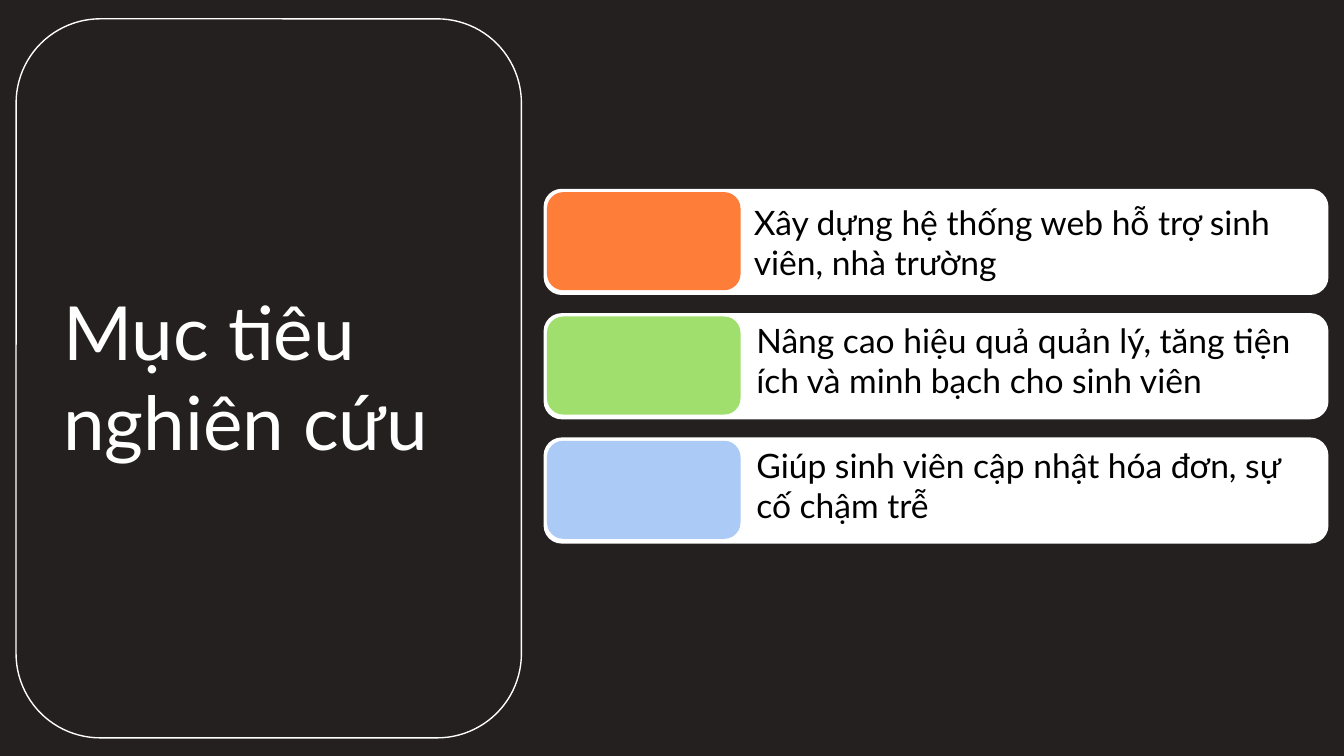
from pptx import Presentation
from pptx.dml.color import RGBColor
from pptx.enum.shapes import MSO_SHAPE
from pptx.enum.text import MSO_ANCHOR, MSO_AUTO_SIZE, PP_ALIGN
from pptx.util import Inches, Pt

# Content
TITLE = "Mục tiêu nghiên cứu"
# text, swatch colour, text box (left, top, width, height)
GOALS = [
    ("Xây dựng hệ thống web hỗ trợ sinh viên, nhà trường",
     "FE7D39", (5.51, 1.48, 4.49, 0.72)),
    ("Nâng cao hiệu quả quản lý, tăng tiện ích và minh bạch cho sinh viên",
     "A0DF6D", (5.53, 2.39, 4.34, 0.69)),
    ("Giúp sinh viên cập nhật hóa đơn, sự cố chậm trễ",
     "ABCAF6", (5.53, 3.29, 4.34, 0.72)),
]
FONT = "Lato"
BACKGROUND, WHITE, BLACK = "24201F", "FFFFFF", "000000"
FIRST_TOP, LAST_TOP = 1.41, 3.26
ROW_STEP = (LAST_TOP - FIRST_TOP) / (len(GOALS) - 1)


def color(value):
    return RGBColor.from_string(value)


def inches(box):
    return [Inches(v) for v in box]


def add_panel(s, box, fill=None, line=None):
    sp = s.shapes.add_shape(MSO_SHAPE.FLOWCHART_ALTERNATE_PROCESS, *inches(box))
    sp.shadow.inherit = False
    if fill:
        sp.fill.solid()
        sp.fill.fore_color.rgb = color(fill)
    else:
        sp.fill.background()
    if line:
        sp.line.color.rgb = color(line)
        sp.line.width = Pt(0)
    else:
        sp.line.fill.background()


def set_text(sp, text, size, text_color, anchor, inset=None):
    tf = sp.text_frame
    tf.text = text
    tf.word_wrap = True
    tf.auto_size = MSO_AUTO_SIZE.NONE
    tf.vertical_anchor = anchor
    if inset is not None:
        tf.margin_left = tf.margin_right = Inches(inset)
        tf.margin_top = tf.margin_bottom = Inches(inset)
    p = tf.paragraphs[0]
    p.alignment = PP_ALIGN.LEFT
    r = p.runs[0]
    r.font.name = FONT
    r.font.size = Pt(size)
    r.font.color.rgb = color(text_color)


# Widescreen slide, 16:9
prs = Presentation()
prs.slide_width, prs.slide_height = Inches(10), Inches(10 * 9 / 16)
s = prs.slides.add_slide(prs.slide_layouts[5])
s.background.fill.solid()
s.background.fill.fore_color.rgb = color(BACKGROUND)

# Title panel
add_panel(s, (0.12, 0.14, 3.76, 5.35), line=WHITE)
title = s.shapes.title
title.left, title.top, title.width, title.height = inches((0.37, 2.08, 3.26, 1.45))
set_text(title, TITLE, 40, WHITE, MSO_ANCHOR.TOP)

# Goal rows: white card, colour swatch, text
for i, (text, swatch, text_box) in enumerate(GOALS):
    top = FIRST_TOP + i * ROW_STEP
    add_panel(s, (4.05, top, 5.83, 0.78), fill=WHITE, line=WHITE)
    add_panel(s, (4.07, top + 0.02, 1.44, 0.73), fill=swatch)
    label = s.shapes.add_textbox(*inches(text_box))
    set_text(label, text, 18, BLACK, MSO_ANCHOR.BOTTOM, inset=0.1)

prs.save("out.pptx")
